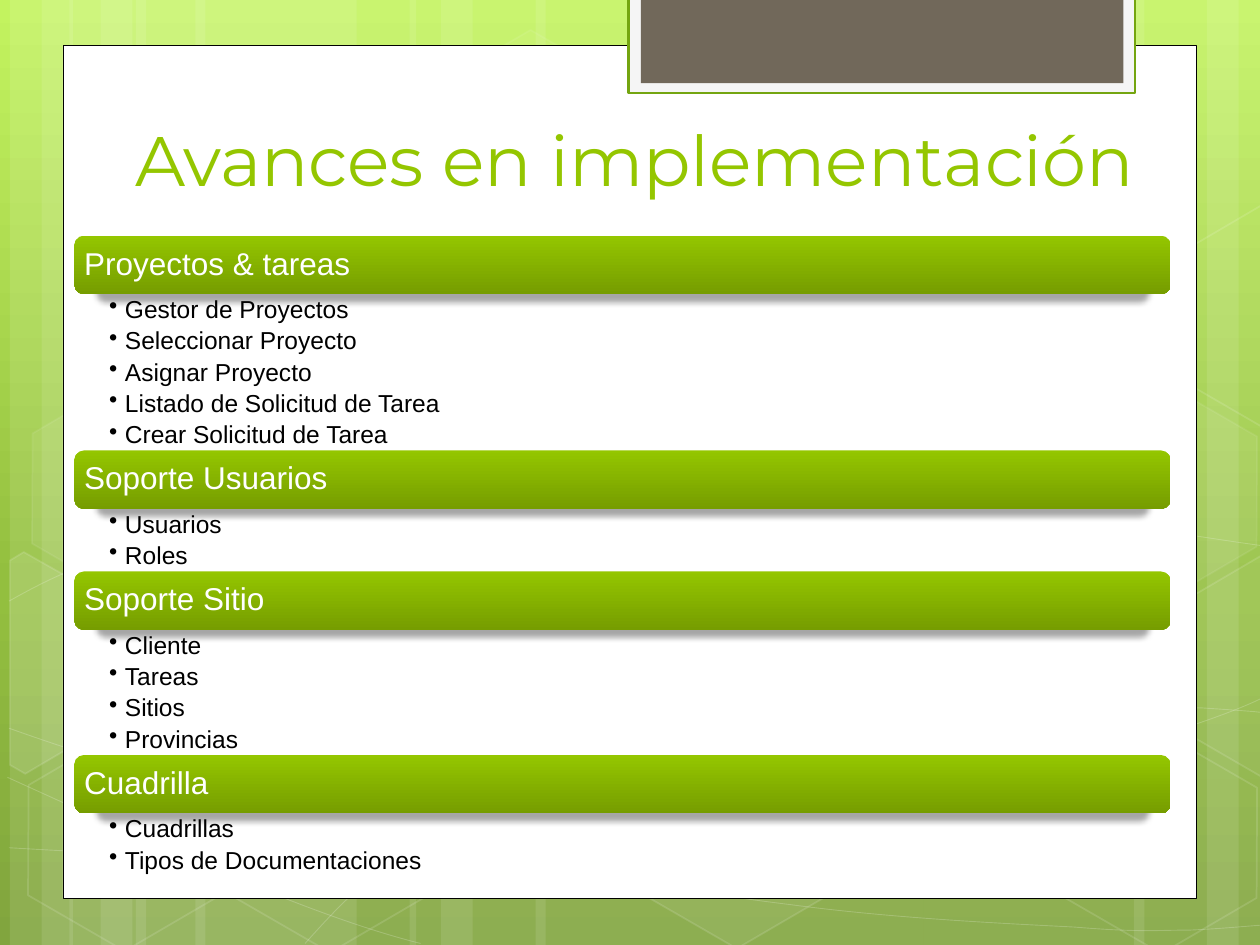
from copy import deepcopy
from lxml.etree import SubElement
from pptx import Presentation
from pptx.dml.color import RGBColor
from pptx.enum.shapes import MSO_SHAPE
from pptx.enum.text import MSO_ANCHOR, PP_ALIGN
from pptx.oxml.ns import qn
from pptx.util import Cm, Pt


def paint(fill, *hues, alpha=100):
    """Fill with one colour, or with a downward gradient of (place, colour) pairs."""
    if len(hues) == 1:
        fill.solid()
        fill.fore_color.rgb = RGBColor.from_string(hues[0])
        if alpha < 100:
            tint = fill._xPr.find(qn("a:solidFill"))[0]
            SubElement(tint, qn("a:alpha"), val=str(alpha * 1000))
        return
    fill.gradient()
    fill.gradient_angle = 270
    stops = fill.gradient_stops[0]._gs.getparent()
    while len(stops) < len(hues):
        stops.append(deepcopy(stops[0]))
    for stop, (place, hue) in zip(fill.gradient_stops, hues):
        stop.position = place
        stop.color.rgb = RGBColor.from_string(hue)


def write(shape, *lines, size, hue, font="Arial", align=PP_ALIGN.LEFT,
          anchor=MSO_ANCHOR.TOP, inset=(0.25, 0.13), space=1, after=0, bullet=False):
    frame = shape.text_frame
    frame.word_wrap = True
    frame.vertical_anchor = anchor
    frame.margin_left = frame.margin_right = Cm(inset[0])
    frame.margin_top = frame.margin_bottom = Cm(inset[1])
    for i, text in enumerate(lines):
        para = frame.add_paragraph() if i else frame.paragraphs[0]
        para.alignment, para.line_spacing, para.space_after = align, space, Pt(after)
        if bullet:
            props = para._p.get_or_add_pPr()
            props.set("marL", str(Cm(0.32)))
            props.set("indent", str(Cm(-0.32)))
            SubElement(props, qn("a:buChar"), char="•")
        run = para.add_run()
        run.text = text
        run.font.size, run.font.name = Pt(size), font
        paint(run.font.fill, hue)
        SubElement(para._p, qn("a:endParaRPr"), sz=str(size * 100))


deck = Presentation()
deck.slide_width, deck.slide_height = Cm(25.4), Cm(19.05)
slide = deck.slides.add_slide(deck.slide_layouts[6])
shapes = slide.shapes
paint(slide.background.fill, (0, "C3F35F"), (0.62, "93BF3F"), (1, "81A53E"))

# Pale stripes: left, width
stripes = [(2.74, 4.45), (0.2, 1.27), (0.84, 2.11), (3.94, 4.45), (1.4, 1.27),
           (2.03, 2.11), (18.62, 4.45), (24.33, 1.27), (22.86, 2.11),
           (10.8, 7.82), (8.26, 1.27), (8.89, 2.11)]
for left, width in stripes:
    stripe = shapes.add_shape(MSO_SHAPE.RECTANGLE, Cm(left), 0, Cm(width), Cm(19.05))
    stripe.shadow.inherit = False
    paint(stripe.fill, "FFFFFF", alpha=10)
    stripe.line.fill.background()

# Thin Bezier curves: a start, then two handles and an end for each piece
curves = [
    [(0.18, 17.09), (1.55, 17.17), (2.92, 17.25), (4.83, 17.22), (6.73, 17.2),
     (9.09, 17.15), (11.63, 16.89), (14.17, 16.64), (17.78, 16.15), (20.12, 15.67),
     (22.43, 15.19), (24.82, 14.43), (25.58, 14)],
    [(0.18, 12.12), (0.91, 11.71), (1.65, 11.33), (3.07, 10.95), (4.52, 10.57),
     (6.58, 10.01), (8.81, 9.83), (11.07, 9.65), (13.82, 9.63), (16.61, 9.83),
     (19.41, 10.03), (24.05, 10.82), (25.58, 11.02)],
    [(0.15, 15.67), (3.23, 17.07), (6.27, 18.47), (8.48, 19.02)],
    [(0.18, 14.68), (0.97, 14.96), (1.78, 15.24), (3.25, 15.65), (4.72, 16.03),
     (6.93, 16.66), (9.07, 17.09), (11.18, 17.53), (13.84, 17.98), (15.95, 18.24),
     (18.06, 18.52), (20.32, 18.62), (21.67, 18.69), (22.99, 18.8), (23.34, 18.75),
     (24, 18.75), (24.66, 18.72), (25.12, 18.67), (25.58, 18.64)],
    [(6.15, 19.02), (6.6, 18.52), (7.06, 18.01), (7.67, 17.55), (8.28, 17.09),
     (9.14, 16.59), (9.86, 16.23), (10.57, 15.88), (11, 15.72), (11.94, 15.47),
     (12.85, 15.21), (14.55, 14.86), (15.44, 14.68), (16.36, 14.5), (16.48, 14.5),
     (17.27, 14.45), (18.06, 14.38), (19.3, 14.3), (20.17, 14.27), (21.06, 14.25),
     (22.5, 14.27), (22.5, 14.27), (23.07, 14.27), (23.64, 14.27), (24.21, 14.27),
     (24.66, 14.3), (25.1, 14.33), (25.32, 14.35), (25.55, 14.38), (25.48, 14.35),
     (25.55, 14.38)],
]
for knots in curves:
    dots = [(Cm(x), Cm(y)) for x, y in knots]
    pen = shapes.build_freeform(*dots[0])
    pen.add_line_segments(dots[1:], close=False)
    curve = pen.convert_to_shape()
    track = next(curve._element.iter(qn("a:moveTo"))).getparent()
    legs = track.findall(qn("a:lnTo"))
    for i in range(0, len(legs), 3):
        bend = SubElement(track, qn("a:cubicBezTo"))
        for leg in legs[i:i + 3]:
            bend.append(leg[0])
            track.remove(leg)
    curve.shadow.inherit = False
    curve.fill.background()
    paint(curve.line.fill, "FFFFFF", alpha=20)
    curve.line.width = Pt(0.5)

# Hexagons: left, top, fill alpha, line alpha
cells = [(8.48, 0.91, 4, 8), (12.62, 14.96, 6, 12), (0.28, 15.01, 0, 12),
         (0.36, 7.92, 7, 8), (4.42, 15.04, 0, 12), (19.13, 11.51, 10, 12),
         (21.18, 15.06, 0, 12), (21.18, 7.98, 7, 8)]
# Hexagons cut by the slide edge: corners, fill alpha, line alpha
parts = [
    ([(0.2, 11.3), (0.48, 11.13), (2.44, 12.24), (2.41, 14.48), (0.51, 15.6),
      (0.2, 15.42)], 10, 12),
    ([(23.52, 12.32), (25.43, 11.2), (25.63, 11.33), (25.63, 15.57), (25.45, 15.67),
      (23.52, 14.55)], 4, 12),
    ([(23.52, 5.26), (25.43, 4.14), (25.65, 4.27), (25.63, 8.51), (25.45, 8.61),
      (23.52, 7.49)], 0, 12),
]
tiles = []
for left, top, glow, edge in cells:
    tile = shapes.add_shape(MSO_SHAPE.HEXAGON, Cm(left), Cm(top), Cm(4.45), Cm(3.86))
    tile.adjustments[0] = 0.285
    tile.rotation = 30
    tiles.append((tile, glow, edge))
for knots, glow, edge in parts:
    dots = [(Cm(x), Cm(y)) for x, y in knots]
    pen = shapes.build_freeform(*dots[0])
    pen.add_line_segments(dots[1:])
    tiles.append((pen.convert_to_shape(), glow, edge))
for tile, glow, edge in tiles:
    tile.shadow.inherit = False
    if glow:
        paint(tile.fill, "FFFFFF", alpha=glow)
    else:
        tile.fill.background()
    paint(tile.line.fill, "FFFFFF", alpha=edge)
    tile.line.width = Pt(1)

# White page and the tab on top: left, top, width, height, fill, line, line width
panels = [(1.27, 0.91, 22.86, 17.2, "FFFFFF", "000000", 0.5),
          (12.67, -0.05, 10.21, 1.93, "F5F5F5", "74A510", 1.25),
          (12.92, -0.05, 9.73, 1.73, "71685A", None, 0)]
for *place, hue, edge, weight in panels:
    panel = shapes.add_shape(MSO_SHAPE.RECTANGLE, *map(Cm, place))
    panel.shadow.inherit = False
    paint(panel.fill, hue)
    if edge:
        paint(panel.line.fill, edge)
        panel.line.width = Pt(weight)
    else:
        panel.line.fill.background()

title = shapes.add_textbox(Cm(1.58), Cm(1.21), Cm(22.43), Cm(2.97))
write(title, "Avances en implementación", size=40, hue="94C600", font="Montserrat",
      align=PP_ALIGN.CENTER, anchor=MSO_ANCHOR.BOTTOM)

groups = {
    "Proyectos & tareas": ["Gestor de Proyectos", "Seleccionar Proyecto",
                           "Asignar Proyecto", "Listado de Solicitud de Tarea",
                           "Crear Solicitud de Tarea"],
    "Soporte Usuarios": ["Usuarios", "Roles"],
    "Soporte Sitio": ["Cliente", "Tareas", "Sitios", "Provincias"],
    "Cuadrilla": ["Cuadrillas", "Tipos de Documentaciones"],
}
left, top, width, high, row = 1.5, 4.75, 22.1, 1.18, 0.63
for head, items in groups.items():
    bar = shapes.add_shape(MSO_SHAPE.ROUNDED_RECTANGLE,
                           Cm(left), Cm(top), Cm(width), Cm(high))
    bar.shadow.inherit = False
    paint(bar.fill, (0, "94C600"), (1, "769D00"))
    bar.line.fill.background()
    shade = SubElement(bar._element.spPr.find(qn("a:effectLst")), qn("a:outerShdw"),
                       blurRad=str(Pt(3.5)), dist=str(Pt(4)), dir="5400000",
                       sx="96000", algn="ctr", rotWithShape="0")
    black = SubElement(shade, qn("a:srgbClr"), val="000000")
    SubElement(black, qn("a:alpha"), val="34000")
    write(bar, head, size=18, hue="FFFFFF", anchor=MSO_ANCHOR.MIDDLE,
          inset=(0.14, 0.12), space=0.9)
    tall = row * len(items)
    body = shapes.add_textbox(Cm(left), Cm(top + high), Cm(width), Cm(tall))
    write(body, *items, size=14, hue="000000", inset=(0.7, 0.06), space=0.9,
          after=2.8, bullet=True)
    top += high + tall

deck.save("out.pptx")
